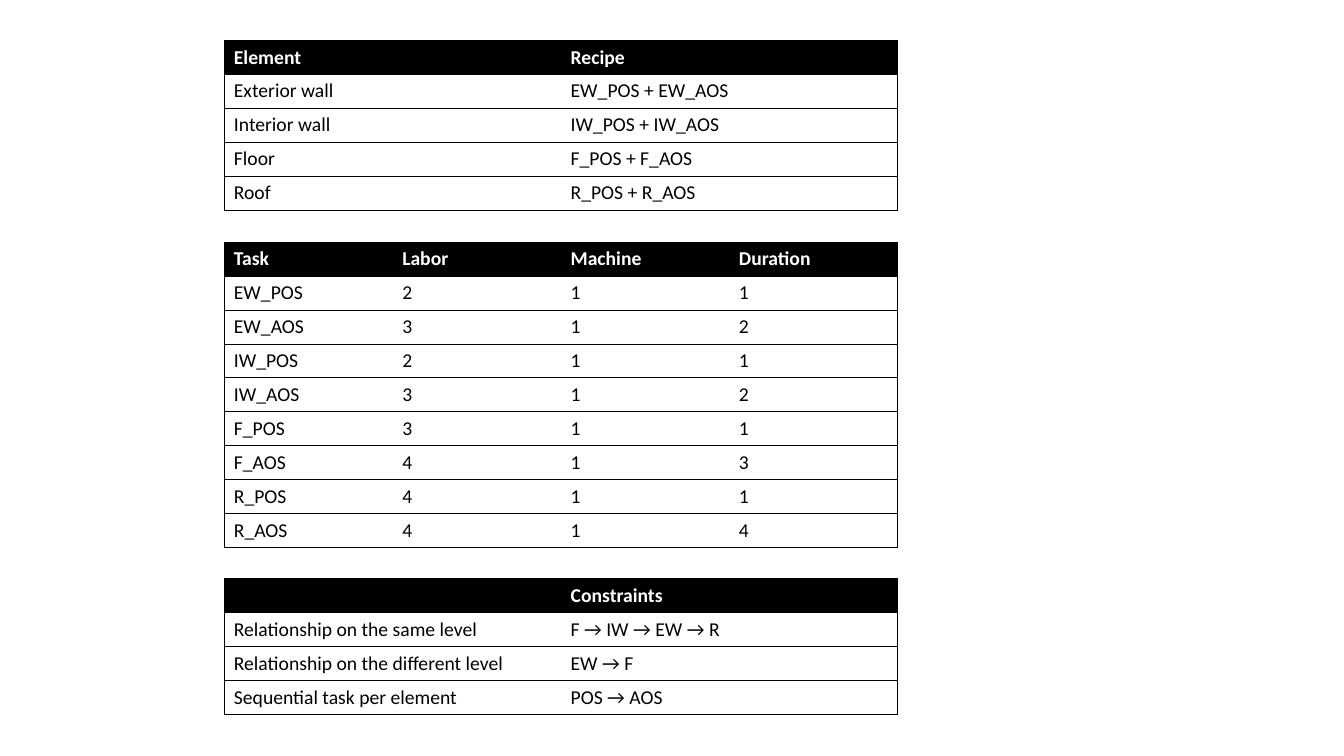
from dataclasses import dataclass

from lxml.etree import SubElement
from pptx import Presentation
from pptx.dml.color import RGBColor
from pptx.oxml.ns import qn
from pptx.table import _Cell
from pptx.util import Emu, Inches, Pt

COLORS = {"black": "000000", "white": "FFFFFF"}
FONT = "Calibri"
NO_STYLE = "{2D5ABB26-0587-4C30-8999-92F81FD0307C}"
BORDER = Pt(0.5)

WIDTH, HEIGHT = Inches(13.33), Inches(7.5)
COL = Inches(1.67)
ROW = Emu(int(HEIGHT / 22.5))
LEFT = Inches(2.22)
GRID_COLS = 4


@dataclass(frozen=True)
class TableSpec:
    top: float  # in grid rows
    rows: list[tuple[str, ...]]


TABLES = [
    TableSpec(1.2, [
        ("Element", "Recipe"),
        ("Exterior wall", "EW_POS + EW_AOS"),
        ("Interior wall", "IW_POS + IW_AOS"),
        ("Floor", "F_POS + F_AOS"),
        ("Roof", "R_POS + R_AOS"),
    ]),
    TableSpec(7.2, [
        ("Task", "Labor", "Machine", "Duration"),
        ("EW_POS", "2", "1", "1"),
        ("EW_AOS", "3", "1", "2"),
        ("IW_POS", "2", "1", "1"),
        ("IW_AOS", "3", "1", "2"),
        ("F_POS", "3", "1", "1"),
        ("F_AOS", "4", "1", "3"),
        ("R_POS", "4", "1", "1"),
        ("R_AOS", "4", "1", "4"),
    ]),
    TableSpec(17.22, [
        ("", "Constraints"),
        ("Relationship on the same level", "F → IW → EW → R"),
        ("Relationship on the different level", "EW → F"),
        ("Sequential task per element", "POS → AOS"),
    ]),
]


def rgb(name: str) -> RGBColor:
    return RGBColor.from_string(COLORS[name])


def set_borders(cell: _Cell, sides: str) -> None:
    """Draw the given sides, in the schema's order L, R, T, B."""
    tcPr = cell._tc.get_or_add_tcPr()
    for i, side in enumerate(sides):
        ln = tcPr.makeelement(qn(f"a:ln{side}"), w=str(BORDER))
        fill = SubElement(ln, qn("a:solidFill"))
        SubElement(fill, qn("a:srgbClr"), val=COLORS["black"])
        tcPr.insert(i, ln)


def fill_cell(cell: _Cell, text: str, header: bool) -> None:
    cell.fill.solid()
    cell.fill.fore_color.rgb = rgb("black" if header else "white")
    p = cell.text_frame.paragraphs[0]
    p.text = text
    p.font.name = FONT
    p.font.size = Pt(14)
    p.font.bold = header
    p.font.color.rgb = rgb("white" if header else "black")


def draw_table(slide, spec: TableSpec) -> None:
    n_rows, n_cols = len(spec.rows), len(spec.rows[0])
    frame = slide.shapes.add_table(n_rows, n_cols, LEFT, int(spec.top * ROW),
                                   GRID_COLS * COL, n_rows * ROW)
    table = frame.table
    table.horz_banding = False
    table._tbl.tblPr.find(qn("a:tableStyleId")).text = NO_STYLE
    for r, values in enumerate(spec.rows):
        for c, text in enumerate(values):
            cell = table.cell(r, c)
            fill_cell(cell, text, header=r == 0)
            outer = ("L" if c == 0 else "") + ("R" if c == n_cols - 1 else "")
            set_borders(cell, outer + "TB")


def main() -> None:
    prs = Presentation()
    prs.slide_width, prs.slide_height = WIDTH, HEIGHT
    slide = prs.slides.add_slide(prs.slide_layouts[6])
    for spec in TABLES:
        draw_table(slide, spec)
    prs.save("out.pptx")


if __name__ == "__main__":
    main()
